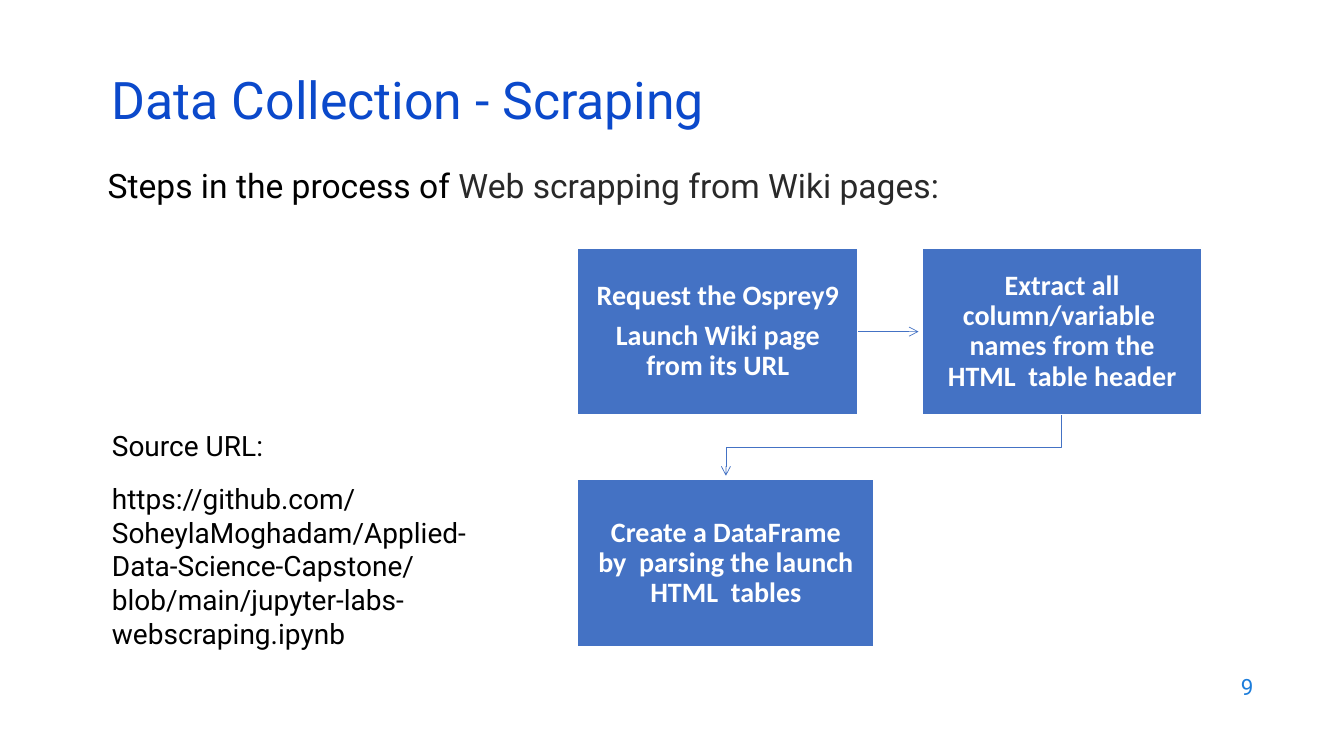
from dataclasses import dataclass

from lxml.etree import SubElement
from pptx import Presentation
from pptx.dml.color import RGBColor
from pptx.enum.shapes import MSO_CONNECTOR, MSO_SHAPE
from pptx.enum.text import MSO_ANCHOR as Anchor, MSO_AUTO_SIZE, PP_ALIGN as Align
from pptx.oxml.ns import qn
from pptx.util import Inches, Pt

COLORS = {
    "title": "0B49CB",
    "text": "000000",
    "soft_text": "292929",
    "step": "4472C4",
    "white": "FFFFFF",
    "number": "1C7DDB",
}
STEP_TOPS = (2.46, 4.76)
STEP_HEIGHT = 1.66


@dataclass(frozen=True)
class Step:
    left: float
    top: float
    width: float
    lines: tuple[str, ...]


STEPS = (
    Step(5.73, STEP_TOPS[0], 2.78,
         ("Request the Osprey9", "Launch Wiki page from its URL")),
    Step(9.15, STEP_TOPS[0], 2.77,
         ("Extract all column/variable  names from the HTML  table header",)),
    Step(5.73, STEP_TOPS[1], 2.94,
         ("Create a DataFrame by  parsing the launch HTML  tables",)),
)


def rgb(name: str) -> RGBColor:
    return RGBColor.from_string(COLORS[name])


def set_font(font, name: str, size: float, color: str, bold: bool = False) -> None:
    font.name = name
    font.size = Pt(size)
    font.bold = bold
    font.color.rgb = rgb(color)


def place(sp, left: float, top: float, width: float, height: float) -> None:
    sp.left, sp.top = Inches(left), Inches(top)
    sp.width, sp.height = Inches(width), Inches(height)


def add_text_box(slide, left: float, top: float, width: float, height: float):
    tf = slide.shapes.add_textbox(
        Inches(left), Inches(top), Inches(width), Inches(height)).text_frame
    tf.word_wrap = True
    return tf


def fill_title(sp) -> None:
    place(sp, 1.01, 0.76, 11.5, 0.6)
    tf = sp.text_frame
    tf.auto_size = MSO_AUTO_SIZE.NONE
    tf.vertical_anchor = Anchor.MIDDLE
    p = tf.paragraphs[0]
    p.text = "Data Collection - Scraping"
    p.alignment = Align.LEFT
    p.line_spacing = 0.7
    set_font(p.font, "Roboto", 37, "title")


def fill_body(sp) -> None:
    place(sp, 1.01, 4.2, 3.89, 2.36)
    tf = sp.text_frame
    tf.auto_size = MSO_AUTO_SIZE.NONE
    tf.text = ("Source URL:\n"
               "https://github.com/SoheylaMoghadam/Applied-Data-Science-Capstone/"
               "blob/main/jupyter-labs-webscraping.ipynb")
    for i, p in enumerate(tf.paragraphs):
        p_pr = p._p.get_or_add_pPr()
        p_pr.set("marL", "0")
        p_pr.set("indent", "0")
        SubElement(p_pr, qn("a:buNone"))
        p.space_before = Pt(14 if i else 0)
        set_font(p.font, "Roboto", 20, "text")


def add_subtitle(slide) -> None:
    p = add_text_box(slide, 0.97, 1.63, 11.56, 0.5).paragraphs[0]
    p.line_spacing = 0.9
    for text, color in (("Steps in the process of ", "text"),
                        ("Web scrapping from Wiki pages:", "soft_text")):
        r = p.add_run()
        r.text = text
        set_font(r.font, "Roboto", 24, color)


def add_step(slide, step: Step) -> None:
    sp = slide.shapes.add_shape(
        MSO_SHAPE.RECTANGLE, Inches(step.left), Inches(step.top),
        Inches(step.width), Inches(STEP_HEIGHT))
    sp.shadow.inherit = False
    sp.fill.solid()
    sp.fill.fore_color.rgb = rgb("step")
    sp.line.color.rgb = rgb("white")
    sp.line.width = Pt(1)
    tf = sp.text_frame
    tf.word_wrap = True
    tf.vertical_anchor = Anchor.MIDDLE
    tf.margin_left = tf.margin_right = Inches(0.16)
    tf.margin_top = tf.margin_bottom = Inches(0.16)
    tf.text = "\n".join(step.lines)
    for p in tf.paragraphs:
        p.alignment = Align.CENTER
        p.line_spacing = 0.9
        p.space_after = Pt(7)
        set_font(p.font, "Calibri", 20, "white", bold=True)


def style_arrow(sp) -> None:
    sp.line.color.rgb = rgb("step")
    sp.line.width = Pt(0.5)
    SubElement(sp.line._get_or_add_ln(), qn("a:tailEnd"), type="arrow")


def add_arrows(slide) -> None:
    straight = slide.shapes.add_connector(
        MSO_CONNECTOR.STRAIGHT,
        Inches(8.51), Inches(3.29), Inches(9.11), Inches(3.29))
    style_arrow(straight)
    SubElement(straight._element.spPr, qn("a:effectLst"))

    start, *bends = [(Inches(x), Inches(y)) for x, y in
                     ((10.53, 4.12), (10.53, 4.44), (7.2, 4.44), (7.2, 4.72))]
    builder = slide.shapes.build_freeform(*start)
    builder.add_line_segments(bends, close=False)
    elbow = builder.convert_to_shape()
    elbow.fill.background()
    style_arrow(elbow)
    elbow.shadow.inherit = False


def add_slide_number(slide) -> None:
    tf = add_text_box(slide, 9.53, 6.59, 3, 0.44)
    tf.vertical_anchor = Anchor.MIDDLE
    p = tf.paragraphs[0]
    p.text = "9"
    p.alignment = Align.RIGHT
    set_font(p.font, "Roboto", 16, "number")


def main() -> None:
    prs = Presentation()
    prs.slide_width, prs.slide_height = Inches(13.33), Inches(7.5)
    slide = prs.slides.add_slide(prs.slide_layouts[1])
    fill_title(slide.shapes.title)
    fill_body(slide.placeholders[1])
    add_subtitle(slide)
    for step in STEPS:
        add_step(slide, step)
    add_arrows(slide)
    add_slide_number(slide)
    prs.save("out.pptx")


if __name__ == "__main__":
    main()
